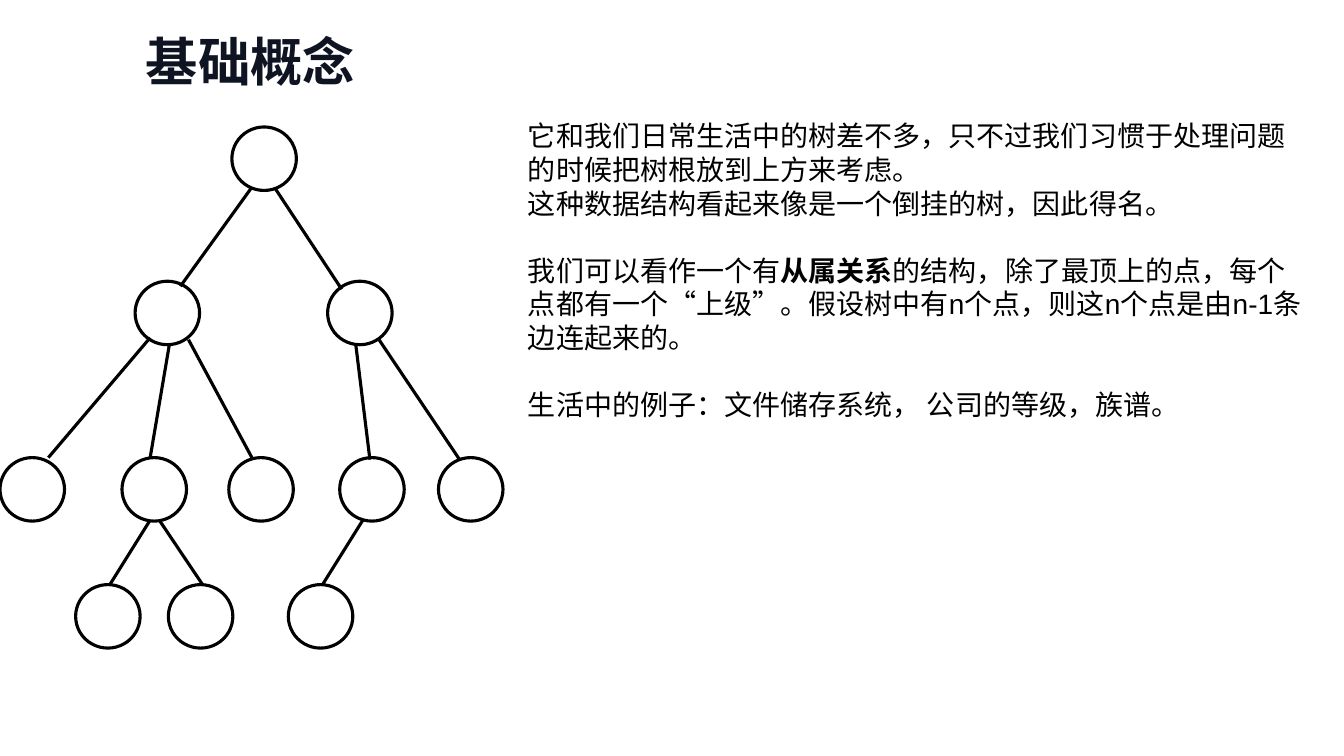
from pptx import Presentation
from pptx.dml.color import RGBColor as Rgb
from pptx.enum.shapes import MSO_CONNECTOR as Link, MSO_SHAPE as Kind
from pptx.oxml.ns import qn
from pptx.util import Inches, Pt
from lxml.etree import SubElement as Sub

theme = {
    "ink": Rgb(0, 0, 0), "head": Rgb(0x0F, 0x14, 0x23),
    "body": 20, "title": 37.3, "line": 2.25,
    "latin": "Arial", "han": "Noto Sans CJK SC",
}

deck = Presentation()
deck.slide_width, deck.slide_height = Inches(13.33), Inches(7.5)
slide = deck.slides.add_slide(deck.slide_layouts[6])
shapes = slide.shapes
col, row = deck.slide_width / 40, deck.slide_height / 30


def place(*grid):
    return [round(n * unit) for n, unit in zip(grid, (col, row, col, row))]


def write(paras, grid, size, color, font, bold=(), east=None, lead=None):
    frame = shapes.add_textbox(*place(*grid)).text_frame
    frame.word_wrap = True
    for i, (gap, parts) in enumerate(paras):
        para = frame.paragraphs[0] if i == 0 else frame.add_paragraph()
        if gap:
            para.space_before = Pt(gap)
        if lead:
            para.line_spacing = Pt(lead)
        for part in parts:
            run = para.add_run()
            run.text = part
            run.font.size = Pt(size)
            run.font.name = font
            run.font.bold = part in bold
            run.font.color.rgb = color
            if east:
                Sub(run.font._element, qn("a:ea")).set("typeface", east)


key = "从属关系"
write([
    (0, ["它和我们日常生活中的树差不多，只不过我们习惯于处理问题的时候把树根放到上方来考虑。"]),
    (0, ["这种数据结构看起来像是一个倒挂的树，因此得名。"]),
    (24, ["我们可以看作一个有", key,
          "的结构，除了最顶上的点，每个点都有一个“上级”。假设树中有n个点，则这n个点是由n-1条边连起来的。"]),
    (24, ["生活中的例子：文件储存系统， 公司的等级，族谱。"]),
], (15.42, 4.52, 23.73, 13.88), theme["body"], theme["ink"], theme["latin"], bold=[key])

title = "基础概念"
write([(0, [title])], (4.05, 0.24, 22.68, 3.64), theme["title"], theme["head"],
      theme["han"], bold=[title], east=theme["han"], lead=58)

edges = [
    (7.47, 7.48, 5.37, 11.36), (8.19, 7.48, 10.17, 11.48),
    (4.47, 13.4, 1.44, 18.16), (5.04, 13.68, 4.47, 18.16),
    (5.61, 13.48, 7.53, 18.24), (10.59, 13.68, 11.01, 18.24),
    (11.28, 13.48, 13.68, 18.24), (4.47, 20.64, 3.27, 23.2),
    (4.74, 20.64, 6.03, 23.2), (10.8, 20.64, 9.6, 23.2),
]
for ends in edges:
    edge = shapes.add_connector(Link.STRAIGHT, *place(*ends))
    edge.line.color.rgb = theme["ink"]
    edge.line.width = Pt(theme["line"])
    Sub(edge._element.spPr, qn("a:effectLst"))

tiers = {
    5.04: [6.9],
    11.16: [4.02, 9.75],
    18.16: [0, 3.63, 6.81, 10.11, 13.05],
    23.2: [2.25, 5.01, 8.58],
}
for top, lefts in tiers.items():
    for left in lefts:
        node = shapes.add_shape(Kind.OVAL, *place(left, top, 1.92, 2.52))
        node.shadow.inherit = False
        node.fill.background()
        node.line.color.rgb = theme["ink"]
        node.line.width = Pt(theme["line"])

deck.save("out.pptx")
